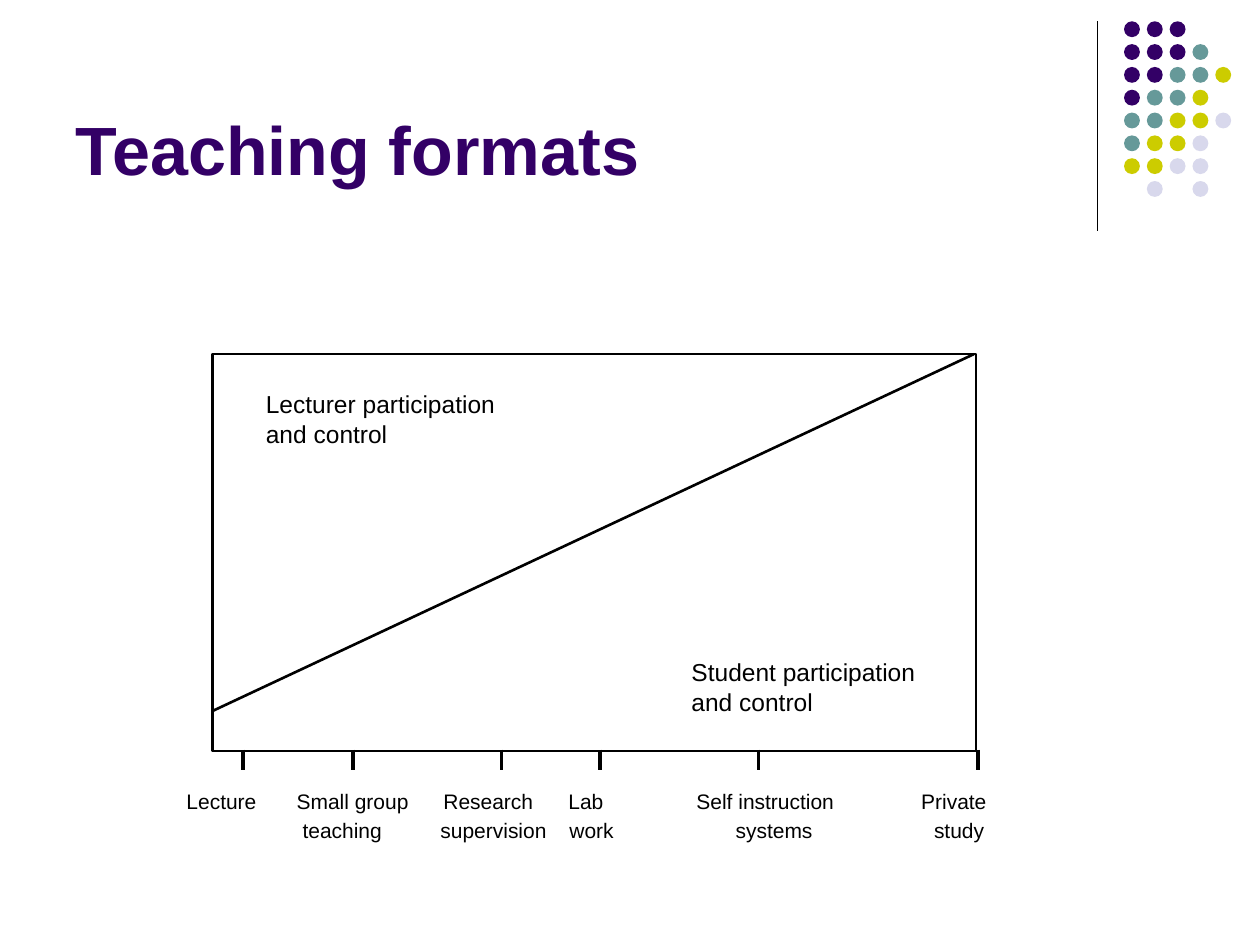
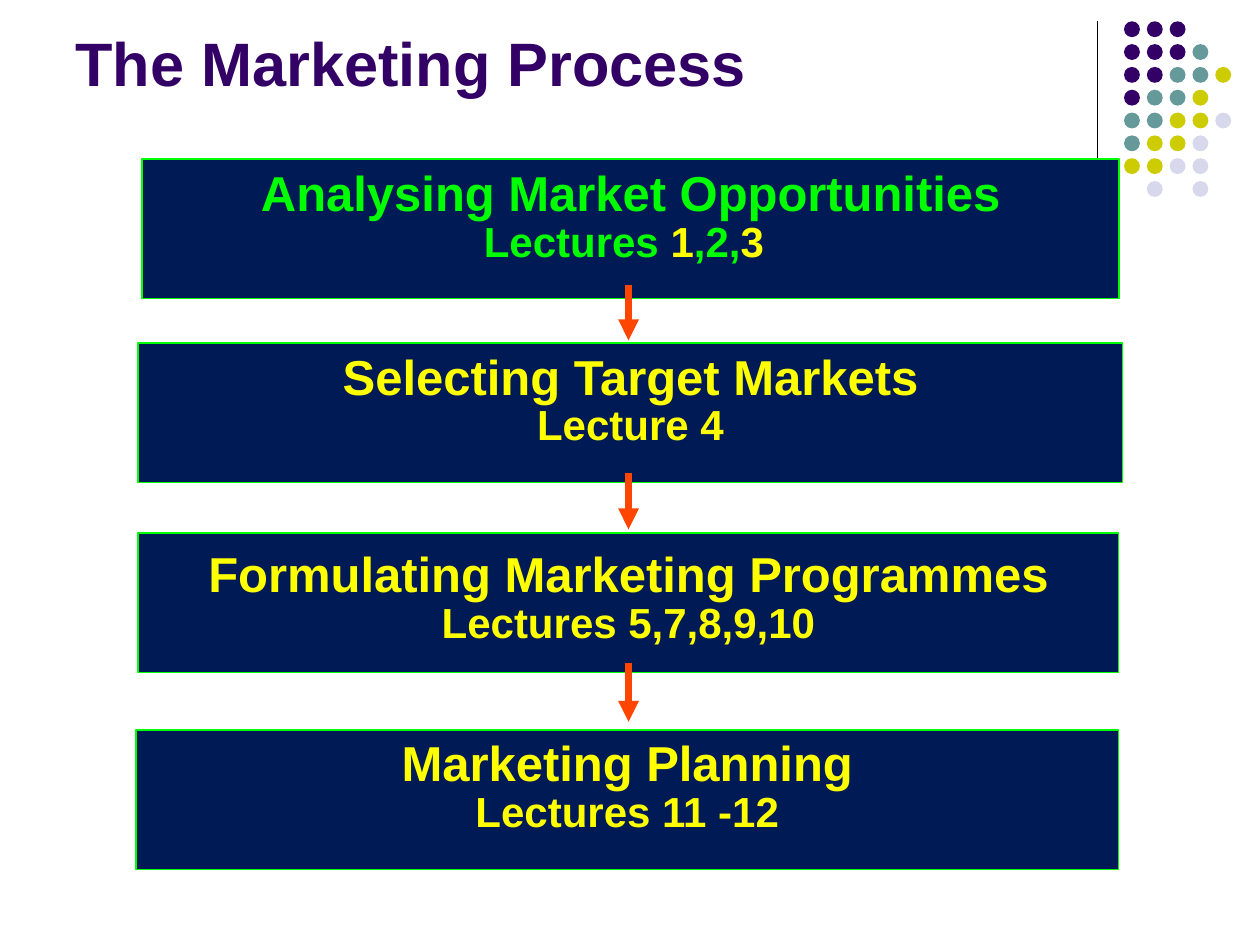
from lxml import etree
from pptx import Presentation
from pptx import util as u
from pptx.dml.color import RGBColor
from pptx.enum import shapes, text
from pptx.oxml.ns import qn

FONT = "Arial"
BLACK = RGBColor(0x00, 0x00, 0x00)
PURPLE = RGBColor(0x33, 0x00, 0x66)
TEAL = RGBColor(0x66, 0x99, 0x99)
OLIVE = RGBColor(0xCC, 0xCC, 0x00)
LILAC = RGBColor(0xD8, 0xD8, 0xEC)
NAVY = RGBColor(0x00, 0x1A, 0x55)
GREEN = RGBColor(0x00, 0xFF, 0x00)
YELLOW = RGBColor(0xFF, 0xFF, 0x00)
ORANGE = RGBColor(0xFF, 0x46, 0x00)

# Corner ornament: one letter per dot, one string per row
DOT_COLORS = {"P": PURPLE, "T": TEAL, "Y": OLIVE, "L": LILAC}
DOT_ROWS = ["PPP", "PPPT", "PPTTY", "PTTY", "TTYYL", "TYYL", "YYLL", " L L"]
DOT_PITCH = 0.46

# Teaching formats: tick positions and label rows with their tab stops
TICKS = [4.9, 7.11, 10.11, 12.09, 15.29, 19.71]
LABEL_ROWS = [
    ("Lecture\tSmall group\tResearch\tLab\tSelf instruction\tPrivate",
     [2.22, 5.18, 7.7, 10.28, 14.81]),
    ("\tteaching\tsupervision\twork\tsystems\tstudy",
     [2.34, 5.12, 7.72, 11.07, 15.07]),
]

# Marketing process: left, top, width, text inset, line pitch, heading, lectures
STAGES = [
    (2.87, 3.2, 19.69, 0.35, 26, ("Analysing Market Opportunities", 28, GREEN),
     [("Lectures ", 24, GREEN), ("1", 24, YELLOW), (",2,", 24, GREEN),
      ("3", 24, YELLOW), (" ", 28, YELLOW)]),
    (2.79, 6.91, 19.84, 0.37, 25, ("Selecting Target Markets", 28, YELLOW),
     [("Lecture 4", 24, YELLOW)]),
    (2.79, 10.74, 19.76, 0.53, 25, ("Formulating Marketing Programmes", 28, YELLOW),
     [("Lectures 5,7,8,9,10", 24, YELLOW)]),
    (2.74, 14.71, 19.81, 0.37, 25, ("Marketing Planning", 28, YELLOW),
     [("Lectures 11 -12", 24, YELLOW)]),
]
STAGE_HEIGHT = 2.82
ARROW_X = 12.67
ARROW_SPANS = [(5.74, 6.86), (9.53, 10.67), (13.36, 14.55)]


def cm(*lengths):
    return [u.Cm(length) for length in lengths]


def write_text(frame, paragraphs, bold=False, align=text.PP_ALIGN.LEFT,
               anchor=text.MSO_ANCHOR.TOP, spacing=None, gap=0, tabs=()):
    """Fill a frame; every paragraph is a list of (words, size, colour) runs."""
    frame.word_wrap = True
    frame.auto_size = text.MSO_AUTO_SIZE.NONE
    frame.vertical_anchor = anchor
    for index, runs in enumerate(paragraphs):
        paragraph = frame.add_paragraph() if index else frame.paragraphs[0]
        if tabs:
            add_tabs(paragraph, tabs[index])
        paragraph.alignment = align
        if spacing:
            paragraph.line_spacing = spacing
        paragraph.space_before = u.Pt(gap if index else 0)
        for words, size, color in runs:
            run = paragraph.add_run()
            run.text = words
            run.font.name = FONT
            run.font.size = u.Pt(size)
            run.font.bold = bold
            run.font.color.rgb = color


def add_tabs(paragraph, stops):
    tab_list = etree.SubElement(paragraph._p.get_or_add_pPr(), qn("a:tabLst"))
    for stop in stops:
        etree.SubElement(tab_list, qn("a:tab"), pos=str(u.Cm(stop)), algn="l")


def add_line(slide, x1, y1, x2, y2, width, color=BLACK, arrow=False):
    line = slide.shapes.add_connector(
        shapes.MSO_CONNECTOR.STRAIGHT, *cm(x1, y1, x2, y2))
    line.line.color.rgb = color
    line.line.width = u.Pt(width)
    if arrow:
        etree.SubElement(line.line._get_or_add_ln(), qn("a:tailEnd"), type="triangle")
    etree.SubElement(line._element.spPr, qn("a:effectLst"))


def add_shape(slide, kind, box, fill=None, outline=None, width=1):
    shape = slide.shapes.add_shape(kind, *cm(*box))
    shape.shadow.inherit = False
    if fill is None:
        shape.fill.background()
    else:
        shape.fill.solid()
        shape.fill.fore_color.rgb = fill
    if outline is None:
        shape.line.fill.background()
    else:
        shape.line.color.rgb = outline
        shape.line.width = u.Pt(width)
    return shape


def add_caption(slide, box, words):
    caption = slide.shapes.add_textbox(*cm(*box))
    write_text(caption.text_frame, [[(words, 14, BLACK)]])


def add_ornament(slide):
    add_line(slide, 22.12, 0.43, 22.12, 4.65, 0.75)
    for row, dots in enumerate(DOT_ROWS):
        for column, key in enumerate(dots):
            if key in DOT_COLORS:
                box = (22.66 + column * DOT_PITCH, 0.43 + row * DOT_PITCH, 0.32, 0.32)
                add_shape(slide, shapes.MSO_SHAPE.OVAL, box, DOT_COLORS[key])


def start_slide(deck, heading, size, height):
    slide = deck.slides.add_slide(deck.slide_layouts[5])
    title = slide.shapes.title
    title.left, title.top, title.width, title.height = cm(1.27, 0.33, 20.96, height)
    write_text(title.text_frame, [[(heading, size, PURPLE)]], bold=True,
               anchor=text.MSO_ANCHOR.BOTTOM)
    add_ornament(slide)
    return slide


def build_teaching_formats(deck):
    slide = start_slide(deck, "Teaching formats", 39, 3.61)
    # Participation diagram
    add_shape(slide, shapes.MSO_SHAPE.RECTANGLE, (4.29, 7.14, 15.39, 8),
              outline=BLACK, width=1.5)
    add_line(slide, 4.29, 14.33, 19.63, 7.14, 1.5)
    add_caption(slide, (5.11, 7.72, 5.79, 1.45), "Lecturer participation and control")
    add_caption(slide, (13.69, 13.13, 5.41, 1.45), "Student participation and control")
    # Axis of formats
    for x in TICKS:
        add_line(slide, x, 15.11, x, 15.52, 2.25)
    labels = slide.shapes.add_textbox(*cm(3.51, 15.93, 18.8, 1.19))
    write_text(labels.text_frame, [[(row, 12, BLACK)] for row, _ in LABEL_ROWS],
               spacing=0.65, gap=7.5, tabs=[stops for _, stops in LABEL_ROWS])


def build_marketing_process(deck):
    slide = start_slide(deck, "The Marketing Process", 35, 1.78)
    # Stages
    for left, top, width, inset, pitch, heading, lectures in STAGES:
        stage = add_shape(slide, shapes.MSO_SHAPE.RECTANGLE,
                          (left, top, width, STAGE_HEIGHT), NAVY, GREEN)
        frame = stage.text_frame
        frame.margin_left = frame.margin_right = u.Cm(0.05)
        frame.margin_top, frame.margin_bottom = cm(inset, 0.08)
        write_text(frame, [[heading], lectures], bold=True,
                   align=text.PP_ALIGN.CENTER, spacing=u.Pt(pitch))
    # Arrows between stages
    for start, end in ARROW_SPANS:
        add_line(slide, ARROW_X, start, ARROW_X, end, 4, ORANGE, arrow=True)


def main():
    deck = Presentation()
    deck.slide_width, deck.slide_height = cm(25.4, 19.05)
    build_teaching_formats(deck)
    build_marketing_process(deck)
    deck.save("out.pptx")


if __name__ == "__main__":
    main()
